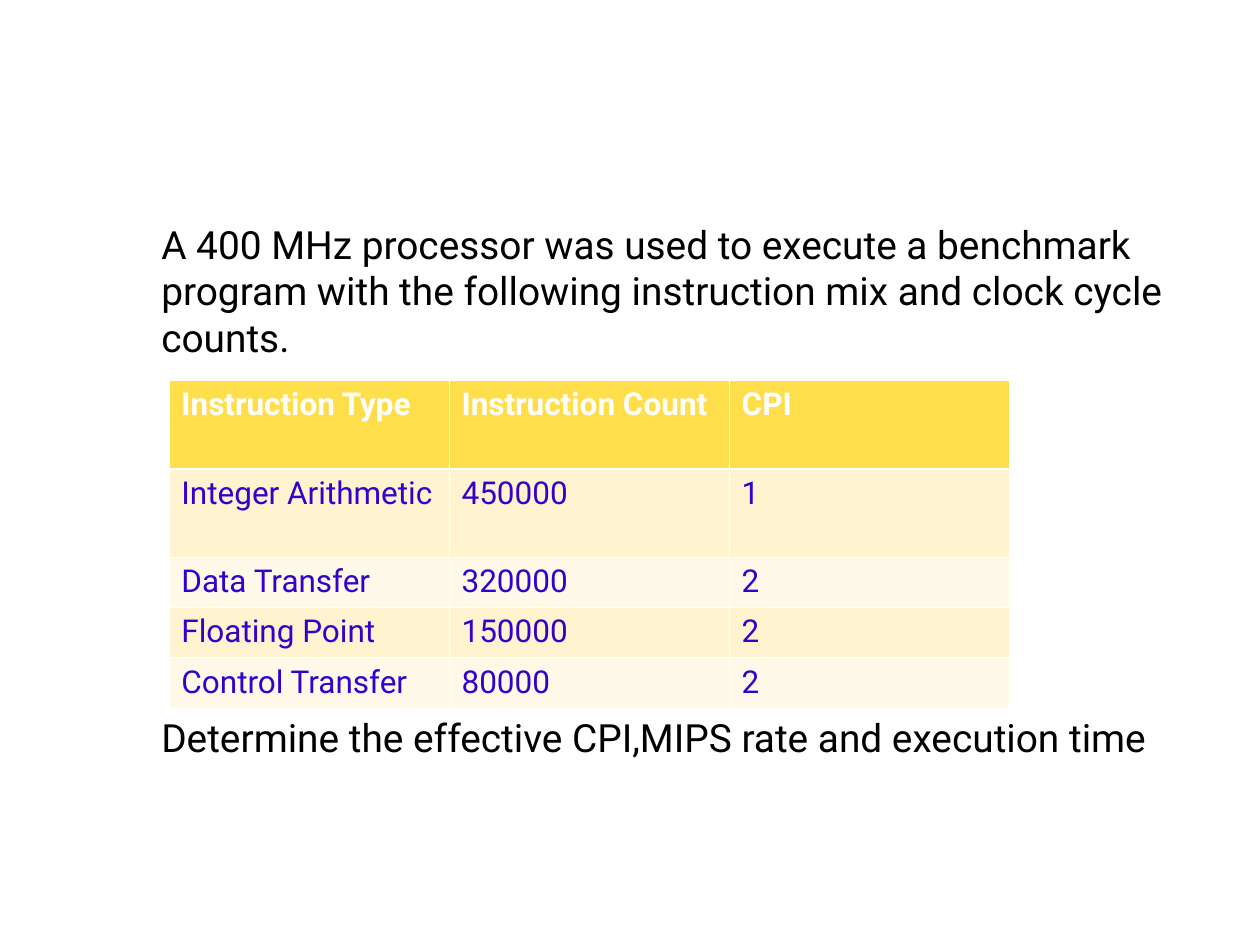
from pptx import Presentation
from pptx.dml.color import RGBColor as RGB
from pptx.oxml import parse_xml
from pptx.oxml.ns import nsdecls
from pptx.util import Inches, Pt

ROWS = [
    ("Instruction Type", "Instruction Count", "CPI"),
    ("Integer Arithmetic", "450000", "1"),
    ("Data Transfer", "320000", "2"),
    ("Floating Point", "150000", "2"),
    ("Control Transfer", "80000", "2"),
]
HEIGHTS = (0.7, 0.7, 0.4, 0.4, 0.4)
HEADER, BANDS = "FFDE4B", ("FFF9E9", "FFF3D0")
THIN, THICK = 0.45, 1.47


def color(value):
    return RGB.from_string(value)


def write(p, text, size=18, hue="000000", bold=False, before=0):
    r = p.add_run()
    r.text = text
    r.font.name, r.font.size, r.font.bold = "Roboto", Pt(size), bold
    r.font.color.rgb = color(hue)
    p.space_before = Pt(before)


def border(cell, side, width, hue="FFFFFF"):
    return parse_xml(
        f'<a:{side} {nsdecls("a")} w="{Pt(width)}"><a:solidFill>'
        f'<a:srgbClr val="{hue}"/></a:solidFill></a:{side}>'
    )


class Deck:
    """Holds the presentation, its text style and the current slide."""

    def __init__(self, width, height, size):
        self.prs = Presentation()
        self.prs.slide_width, self.prs.slide_height = Inches(width), Inches(height)
        self.size = size
        self.s = self.prs.slides.add_slide(self.prs.slide_layouts[6])

    def text(self, x, y, w, h, paragraphs, indent):
        tf = self.s.shapes.add_textbox(*map(Inches, (x, y, w, h))).text_frame
        tf.word_wrap = True
        tf.margin_left = Inches(indent)
        for i, (text, before) in enumerate(paragraphs):
            p = tf.add_paragraph() if i else tf.paragraphs[0]
            write(p, text, size=self.size, before=before)

    def table(self, x, y, w, rows, heights):
        shape = self.s.shapes.add_table(
            len(rows), len(rows[0]), *map(Inches, (x, y, w, sum(heights))))
        table = shape.table
        for i, values in enumerate(rows):
            table.rows[i].height = Inches(heights[i])
            for j, value in enumerate(values):
                self.cell(table.cell(i, j), value, i)

    def cell(self, cell, value, row):
        header = row == 0
        write(cell.text_frame.paragraphs[0], value,
              hue="FFFFFF" if header else "3300CC", bold=header)
        cell.fill.solid()
        cell.fill.fore_color.rgb = color(HEADER if header else BANDS[row % 2])
        widths = {"lnL": THIN, "lnR": THIN,
                  "lnT": THICK if row == 1 else THIN,
                  "lnB": THICK if header else THIN}
        props = cell._tc.get_or_add_tcPr()
        for i, (side, width) in enumerate(widths.items()):
            props.insert(i, border(cell, side, width))


def main():
    deck = Deck(10, 7.5, size=22.2)
    deck.text(0.67, 1.7, 9.25, 4.97, [
        ("A 400 MHz processor was used to execute a benchmark program with "
         "the following instruction mix and clock cycle counts.", 0),
        ("Determine the effective CPI,MIPS rate and execution time", 202),
    ], indent=0.61)
    deck.table(1.34, 3.02, 6.67, ROWS, HEIGHTS)
    deck.prs.save("out.pptx")


if __name__ == "__main__":
    main()
